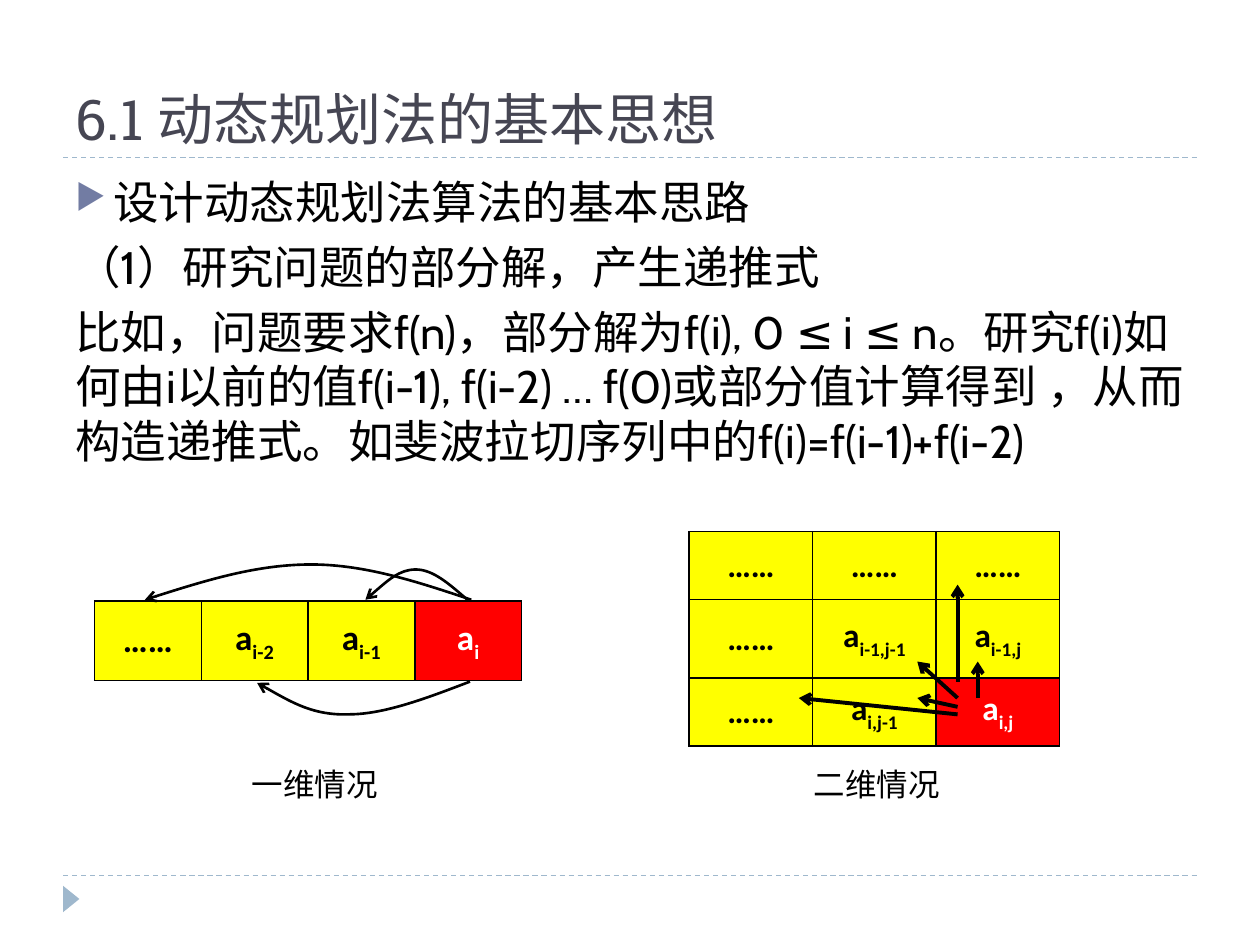
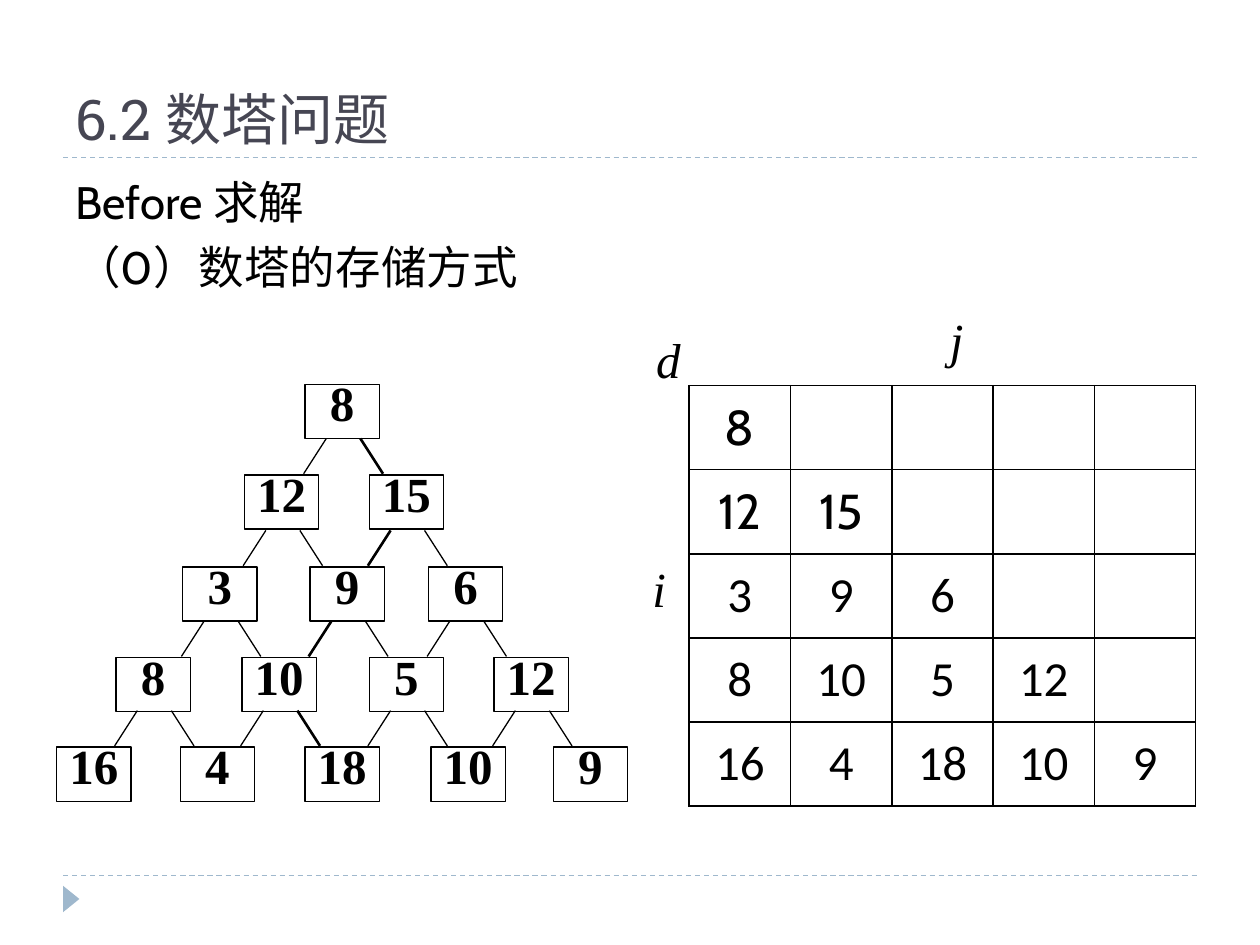
from dataclasses import dataclass

from lxml import etree
from pptx import Presentation
from pptx.dml.color import RGBColor
from pptx.enum.dml import MSO_LINE
from pptx.enum.shapes import MSO_CONNECTOR as Connector, MSO_SHAPE as Shape
from pptx.enum.text import MSO_ANCHOR as Anchor, MSO_AUTO_SIZE as AutoSize, PP_ALIGN as Align
from pptx.oxml import parse_xml
from pptx.oxml.ns import nsdecls, qn
from pptx.util import Inches, Pt

# ---------- Content ----------
BASICS = {
    "title": "6.1 动态规划法的基本思想",
    "body": [
        "设计动态规划法算法的基本思路",
        "（1）研究问题的部分解，产生递推式",
        "比如，问题要求f(n)，部分解为f(i), 0 ≤ i ≤ n。研究f(i)如何由i以前的值"
        "f(i-1), f(i-2) … f(0)或部分值计算得到 ，从而构造递推式。"
        "如斐波拉切序列中的f(i)=f(i-1)+f(i-2)",
    ],
}
# In table cells, "_" starts a subscript
LINEAR_STATES = [["……", "a_i-2", "a_i-1", "a_i"]]
GRID_STATES = [
    ["……", "……", "……"],
    ["……", "a_i-1,j-1", "a_i-1,j"],
    ["……", "a_i,j-1", "a_i,j"],
]
CAPTIONS = [("一维情况", 1.9), ("二维情况", 6.36)]
# Each curve: start point, then groups of two controls and an end point
LINEAR_CURVES = [
    [(3.71, 4.76), (3.57, 4.64), (3.44, 4.52), (3.3, 4.52),
     (3.17, 4.52), (3.04, 4.64), (2.9, 4.76)],
    [(3.73, 5.41), (3.39, 5.54), (3.05, 5.67), (2.77, 5.67),
     (2.49, 5.68), (2.27, 5.55), (2.04, 5.42)],
    [(3.74, 4.76), (3.32, 4.62), (2.9, 4.48), (2.47, 4.48),
     (2.04, 4.48), (1.59, 4.62), (1.15, 4.76)],
]
GRID_ARROWS = [
    ((7.76, 5.54), (7.76, 5.25)),
    ((7.6, 5.41), (7.6, 4.64)),
    ((7.6, 5.54), (7.28, 5.25)),
    ((7.6, 5.61), (7.28, 5.54)),
    ((7.6, 5.67), (6.34, 5.54)),
]

TOWER_PAGE = {
    "title": "6.2 数塔问题",
    "body": ["Before 求解", "（0）数塔的存储方式"],
}
TOWER = [[8], [12, 15], [3, 9, 6], [8, 10, 5, 12], [16, 4, 18, 10, 9]]
BEST_PATH = [0, 1, 1, 1, 2]  # column taken on each level
TOWER_TOPS = [3.05, 3.77, 4.5, 5.22, 5.93]
TOWER_LEFTS = [
    [2.42],
    [1.94, 2.93],
    [1.45, 2.46, 3.4],
    [0.92, 1.92, 2.93, 3.92],
    [0.45, 1.43, 2.42, 3.42, 4.39],
]
INDEX_LABELS = [
    ("i", (5.08, 4.38, 0.31, 0.57)),
    ("j", (7.44, 2.41, 0.31, 0.57)),
    ("d", (5.11, 2.57, 0.4, 0.57)),
]


# ---------- Theme ----------
def rgb(value):
    return RGBColor.from_string(value)


def style(name, size, color="000000", **extra):
    return {"name": name, "size": Pt(size), "color": rgb(color), **extra}


@dataclass(frozen=True)
class Theme:
    black = rgb("000000")
    white = rgb("FFFFFF")
    known = rgb("FFFF00")
    target = rgb("FF0000")
    rule = rgb("9FB8CD")
    bullet = "727CA3"
    title = style("Roboto Slab", 32, "464653")
    body = style("Cabin", 26)
    caption = style("Calibri", 18)
    linear = style("Calibri", 20, bold=True)
    grid = style("Calibri", 19, bold=True)
    node = style("Times New Roman", 28, bold=True)
    index = style("Times New Roman", 28, italic=True)
    stored_first = style("Cabin", 28, bold=False)
    stored = style("Calibri", 28, bold=False)


THEME = Theme()


# ---------- Text ----------
def add_span(para, text, look):
    span = para.add_run()
    span.text = text
    for key, value in look.items():
        if key == "color":
            span.font.color.rgb = value
        else:
            setattr(span.font, key, value)
    return span


def add_text(page, place, lines, look, frame_format, para_format=None):
    box = page.shapes.add_textbox(*map(Inches, place))
    frame = box.text_frame
    for key, value in frame_format.items():
        setattr(frame, key, value)
    for number, line in enumerate(lines):
        para = frame.add_paragraph() if number else frame.paragraphs[0]
        for key, value in (para_format or {}).items():
            setattr(para, key, value)
        add_span(para, line, look)
    return box


def add_label(page, place, text, look):
    add_text(page, place, [text], look,
             {"word_wrap": False, "auto_size": AutoSize.SHAPE_TO_FIT_TEXT})


def add_bullet(para):
    props = para._p.get_or_add_pPr()
    props.set("marL", str(Inches(0.3)))
    props.set("indent", str(-Inches(0.3)))
    for xml in (
        f'<a:buClr {nsdecls("a")}><a:srgbClr val="{THEME.bullet}"/></a:buClr>',
        f'<a:buSzPct {nsdecls("a")} val="76000"/>',
        f'<a:buChar {nsdecls("a")} char="▶"/>',
    ):
        props.append(parse_xml(xml))


# ---------- Lines ----------
def add_arrowhead(shape):
    line = shape.line._get_or_add_ln()
    etree.SubElement(line, qn("a:tailEnd"), type="arrow")


def add_line(page, start, end, width=0.75, color=THEME.black):
    points = map(Inches, (*start, *end))
    line = page.shapes.add_connector(Connector.STRAIGHT, *points)
    line.line.width = Pt(width)
    line.line.color.rgb = color
    etree.SubElement(line._element.spPr, qn("a:effectLst"))
    return line


def add_curve(page, points):
    start, *rest = [tuple(map(Inches, point)) for point in points]
    builder = page.shapes.build_freeform(*start)
    builder.add_line_segments(rest, close=False)
    curve = builder.convert_to_shape()
    # Turn every three straight segments into one cubic segment
    segments = list(curve._element.iter(qn("a:lnTo")))
    outline = segments[0].getparent()
    for first in range(0, len(segments), 3):
        cubic = etree.SubElement(outline, qn("a:cubicBezTo"))
        for segment in segments[first:first + 3]:
            cubic.append(segment[0])
            outline.remove(segment)
    curve.shadow.inherit = False
    curve.fill.background()
    curve.line.color.rgb = THEME.black
    curve.line.width = Pt(1.5)
    add_arrowhead(curve)


# ---------- Tables ----------
def add_borders(cell):
    props = cell._tc.get_or_add_tcPr()
    for side in ("lnL", "lnR", "lnT", "lnB"):
        props.append(parse_xml(
            f'<a:{side} {nsdecls("a")} w="{Pt(1)}"><a:solidFill>'
            f'<a:srgbClr val="{THEME.black}"/></a:solidFill></a:{side}>'))


def add_grid(page, place, heights, rows, look_for, fill_for):
    table = page.shapes.add_table(len(rows), len(rows[0]), *map(Inches, place)).table
    table.first_row = table.horz_banding = False
    for column in table.columns:
        column.width = Inches(place[2] / len(rows[0]))
    for row, height in zip(table.rows, heights):
        row.height = Inches(height)
    for r, values in enumerate(rows):
        for c, value in enumerate(values):
            cell = table.cell(r, c)
            add_borders(cell)
            cell.fill.solid()
            cell.fill.fore_color.rgb = fill_for(r, c)
            cell.vertical_anchor = Anchor.MIDDLE
            para = cell.text_frame.paragraphs[0]
            para.alignment = Align.CENTER
            if value == "":
                continue
            base, _, subscript = str(value).partition("_")
            look = look_for(r, c)
            add_span(para, base, look)
            if subscript:
                span = add_span(para, subscript, look)
                span._r.get_or_add_rPr().set("baseline", "-25000")


def add_states(page, place, heights, rows, look):
    """Yellow known states, with the state to compute last, in red."""
    last = (len(rows) - 1, len(rows[0]) - 1)
    add_grid(page, place, heights, rows,
             lambda r, c: {**look, "color": THEME.white} if (r, c) == last else look,
             lambda r, c: THEME.target if (r, c) == last else THEME.known)


# ---------- Pages ----------
def add_page(deck, content):
    page = deck.slides.add_slide(deck.slide_layouts[6])
    for y in (6.95, 1.25):
        add_line(page, (0.5, y), (9.5, y), color=THEME.rule).line.dash_style = MSO_LINE.DASH
    marker = page.shapes.add_shape(
        Shape.ISOSCELES_TRIANGLE, *map(Inches, (0.46, 7.07, 0.21, 0.13)))
    marker.rotation = 90
    marker.shadow.inherit = False
    marker.fill.solid()
    marker.fill.fore_color.rgb = THEME.rule
    marker.line.fill.background()
    add_text(page, (0.5, 0.17, 9, 1.08), [content["title"]], THEME.title,
             {"word_wrap": True, "vertical_anchor": Anchor.BOTTOM})
    body = add_text(page, (0.5, 1.33, 9, 5.4), content["body"], THEME.body,
                    {"word_wrap": True}, {"space_before": Pt(6)})
    return page, body


def build_basics(deck):
    page, body = add_page(deck, BASICS)
    add_bullet(body.text_frame.paragraphs[0])
    add_states(page, (0.75, 4.77, 3.39, 0.63), [0.63], LINEAR_STATES, THEME.linear)
    for points in LINEAR_CURVES:
        add_curve(page, points)
    add_states(page, (5.47, 4.22, 2.94, 1.71), [0.54, 0.62, 0.54], GRID_STATES, THEME.grid)
    for start, end in GRID_ARROWS:
        add_arrowhead(add_line(page, start, end, 2.25))
    for text, left in CAPTIONS:
        add_label(page, (left, 6.02, 1.21, 0.4), text, THEME.caption)


def add_node(page, left, top, value):
    node = page.shapes.add_shape(Shape.RECTANGLE, *map(Inches, (left, top, 0.59, 0.43)))
    node.shadow.inherit = False
    node.fill.solid()
    node.fill.fore_color.rgb = THEME.white
    node.line.color.rgb = THEME.black
    node.line.width = Pt(0.75)
    frame = node.text_frame
    for side in ("left", "top", "right", "bottom"):
        setattr(frame, f"margin_{side}", 0)
    frame.vertical_anchor = Anchor.TOP
    para = frame.paragraphs[0]
    para.alignment = Align.CENTER
    para.line_spacing = 0.8
    add_span(para, str(value), THEME.node)


def build_tower(deck):
    page, _ = add_page(deck, TOWER_PAGE)
    for values, lefts, top in zip(TOWER, TOWER_LEFTS, TOWER_TOPS):
        for value, left in zip(values, lefts):
            add_node(page, left, top, value)

    # Branches go down from each node; the best path is thicker
    for level, lefts in enumerate(TOWER_LEFTS[:-1]):
        bottom = TOWER_TOPS[level + 1] - 0.01
        for column, left in enumerate(lefts):
            for side, (offset, shift) in enumerate([(0.17, -0.18), (0.44, 0.18)]):
                chosen = (column, column + side) == tuple(BEST_PATH[level:level + 2])
                x = left + offset
                add_line(page, (x, bottom - 0.28), (x + shift, bottom), 1.5 if chosen else 0.75)

    # The tower stored as a lower triangular array
    size = len(TOWER)
    rows = [values + [""] * (size - len(values)) for values in TOWER]
    add_grid(page, (5.47, 3.06, 4.02, 3.34), [3.34 / size] * size, rows,
             lambda r, c: THEME.stored_first if r < 2 else THEME.stored,
             lambda r, c: THEME.white)
    for text, place in INDEX_LABELS:
        add_label(page, place, text, THEME.index)


def main():
    deck = Presentation()
    deck.slide_width, deck.slide_height = Inches(10), Inches(7.5)
    build_basics(deck)
    build_tower(deck)
    deck.save("out.pptx")


if __name__ == "__main__":
    main()
